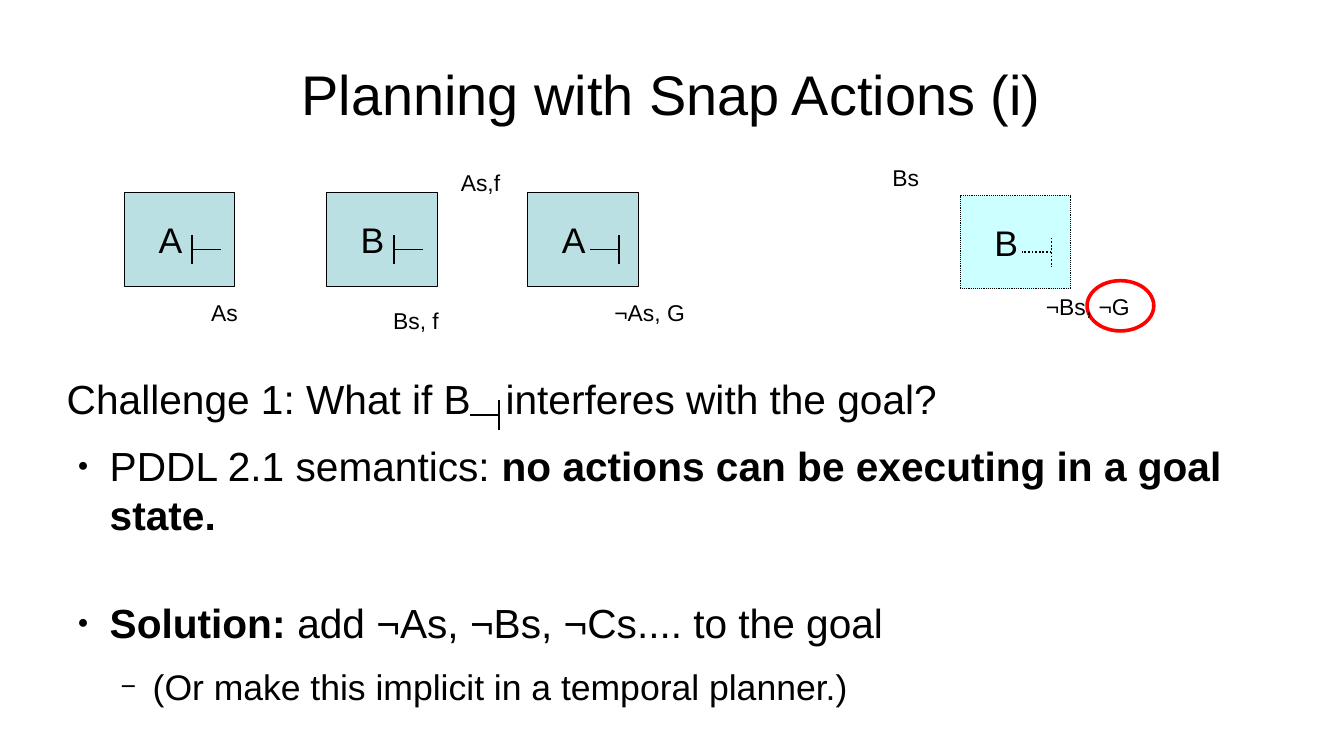
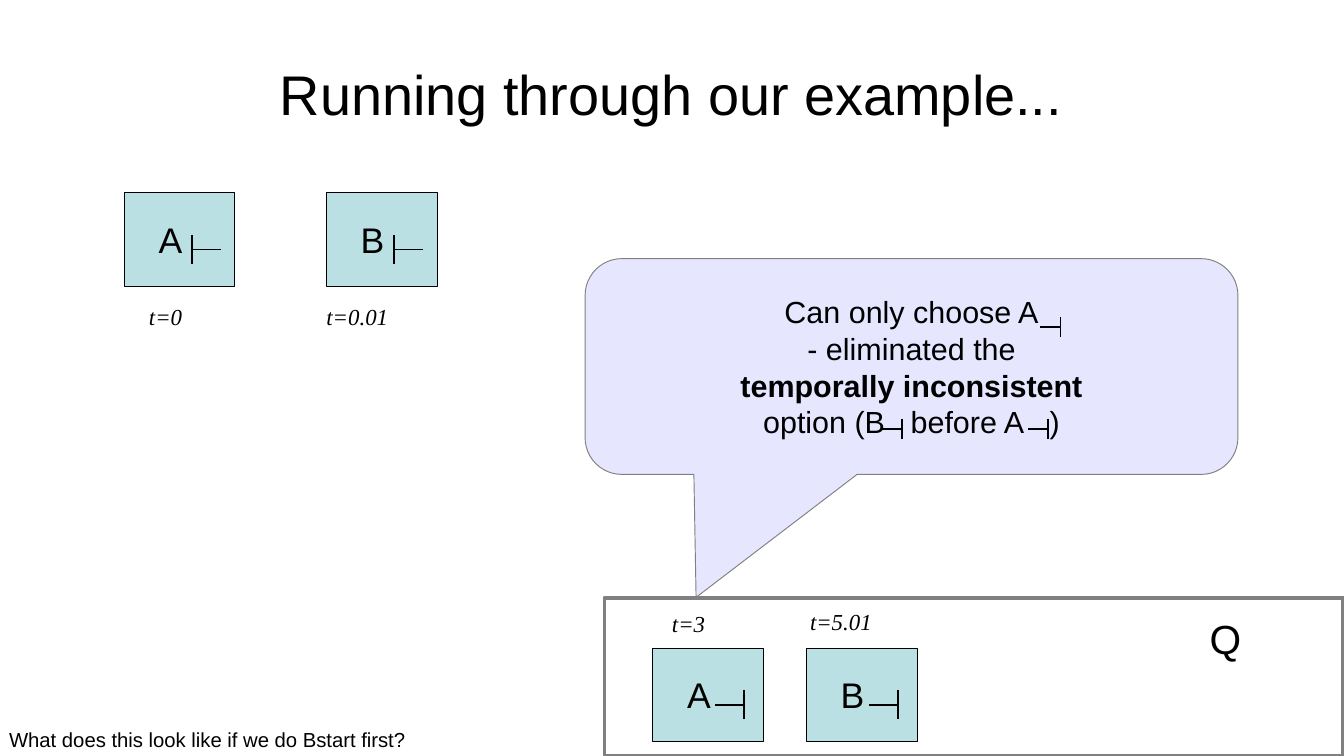
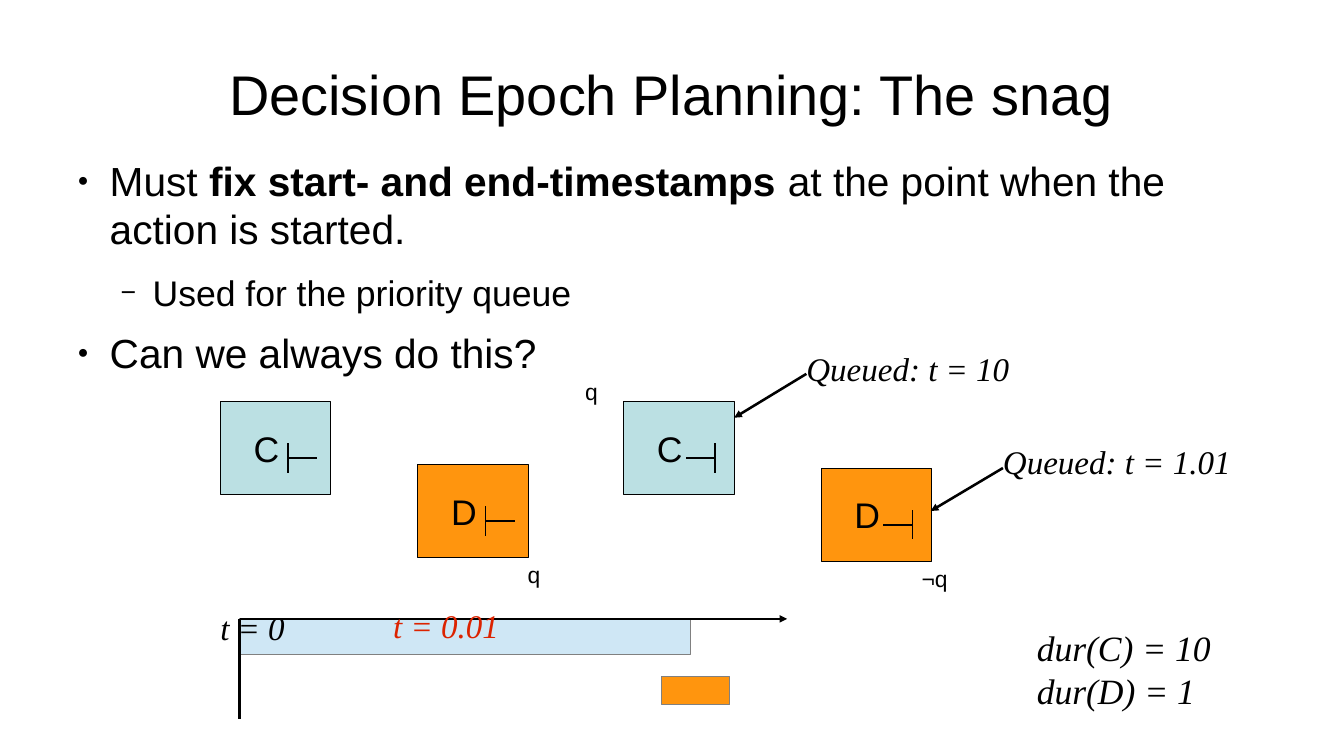
from lxml.etree import SubElement
from pptx import Presentation
from pptx.dml.color import RGBColor
from pptx.enum.dml import MSO_LINE
from pptx.enum.shapes import MSO_CONNECTOR, MSO_SHAPE
from pptx.enum.text import MSO_ANCHOR, MSO_AUTO_SIZE, PP_ALIGN
from pptx.oxml.ns import qn
from pptx.util import Inches, Pt

BLACK = RGBColor(0x00, 0x00, 0x00)
GREY = RGBColor(0x80, 0x80, 0x80)
RED = RGBColor(0xFF, 0x00, 0x00)
BRICK = RGBColor(0xDC, 0x23, 0x00)
TEAL = RGBColor(0xBB, 0xE0, 0xE3)
CYAN = RGBColor(0xCC, 0xFF, 0xFF)
LILAC = RGBColor(0xE6, 0xE6, 0xFF)
SKY = RGBColor(0xCF, 0xE7, 0xF5)
ORANGE = RGBColor(0xFF, 0x95, 0x0E)

PLAIN, BOLD = False, True
GAP = (" ", PLAIN)  # a widened space that leaves room for a snap mark
TIME = {"font": "Times New Roman", "italic": True}
BIG_TIME = {**TIME, "size": 26}


def write(frame, lines, size=18, font="Arial", color=BLACK, italic=False,
          align=PP_ALIGN.LEFT):
    """Fill a text frame; each line is a list of (text, bold) spans."""
    layout = {"margin_left": 0, "margin_right": 0, "margin_top": 0, "margin_bottom": 0,
              "word_wrap": True, "auto_size": MSO_AUTO_SIZE.NONE,
              "vertical_anchor": MSO_ANCHOR.MIDDLE}
    for name, value in layout.items():
        setattr(frame, name, value)
    for number, line in enumerate(lines):
        para = frame.add_paragraph() if number else frame.paragraphs[0]
        para.alignment = align
        for text, bold in line:
            span = para.add_run()
            span.text = text
            look = {"size": Pt(size), "name": font, "bold": bold, "italic": italic}
            for name, value in look.items():
                setattr(span.font, name, value)
            span.font.color.rgb = color
            if (text, bold) == GAP:
                span.font.size = Pt(size)
                span._r.get_or_add_rPr().set("spc", str(round(size * 56)))


def draw_line(page, start, end, width=0, dash=None, arrow=False):
    points = [Inches(value) for value in (*start, *end)]
    line = page.shapes.add_connector(MSO_CONNECTOR.STRAIGHT, *points)
    line.line.color.rgb = BLACK
    line.line.width = Pt(width)
    if dash:
        line.line.dash_style = dash
    if arrow:
        SubElement(line.get_or_add_ln(), qn("a:tailEnd"), type="triangle")
    SubElement(line._element.spPr, qn("a:effectLst"))


deck = Presentation()
deck.slide_width, deck.slide_height = Inches(14.7), Inches(8.27)

# Pages and titles: layout 1 has a title and a body, layout 5 only a title
pages = []
for title, layout_number in [("Planning with Snap Actions (i)", 1),
                             ("Running through our example...", 5),
                             ("Decision Epoch Planning: The snag", 1)]:
    page = deck.slides.add_slide(deck.slide_layouts[layout_number])
    box = page.shapes.title
    box.left, box.top, box.width, box.height = map(Inches, (0.73, 0.33, 13.23, 1.38))
    write(box.text_frame, [[(title, PLAIN)]], size=44, align=PP_ALIGN.CENTER)
    pages.append(page)
snap_page, example_page, snag_page = pages

# Body lists: each line has a level (None is unbulleted), a space before and spans
bodies = [
    (snap_page, 4.09, 4.1, [
        (None, 0, [("Challenge 1: What if B", PLAIN), GAP,
                   ("interferes with the goal?", PLAIN)]),
        (0, 0, [("PDDL 2.1 semantics: ", PLAIN),
                ("no actions can be executing in a goal state.", BOLD)]),
        (0, 33, [("Solution: ", BOLD), ("add ¬As, ¬Bs, ¬Cs.... to the goal", PLAIN)]),
        (1, 0, [("(Or make this implicit in a temporal planner.)", PLAIN)]),
    ]),
    (snag_page, 1.7, 5.62, [
        (0, 0, [("Must ", PLAIN), ("fix start- and end-timestamps", BOLD),
                (" at the point when the action is started.", PLAIN)]),
        (1, 0, [("Used for the priority queue", PLAIN)]),
        (0, 0, [("Can we always do this?", PLAIN)]),
    ]),
]
BULLETS = [("●", "45000"), ("−", "75000")]
for page, top, height, lines in bodies:
    box = page.placeholders[1]
    box.left, box.top, box.width, box.height = map(Inches, (0.73, top, 13.23, height))
    write(box.text_frame, [spans for _, _, spans in lines], size=32)
    box.text_frame.vertical_anchor = MSO_ANCHOR.TOP
    for para, (level, before, _) in zip(box.text_frame.paragraphs, lines):
        para.level = level or 0
        para.space_before = Pt(before)
        para.space_after = Pt(11.3 if level else 14.2)
        props = para._p.get_or_add_pPr()
        if level is None:
            props.set("marL", "0")
            props.set("indent", "0")
            SubElement(props, qn("a:buNone"))
            continue
        if level == 1:
            for span in para.runs:
                span.font.size = Pt(28)
        props.set("marL", str(Inches(0.47 * (level + 1))))
        props.set("indent", str(Inches(-0.35)))
        char, percent = BULLETS[level]
        SubElement(SubElement(props, qn("a:buClr")), qn("a:srgbClr"), val=str(BLACK))
        SubElement(props, qn("a:buSzPct"), val=percent)
        SubElement(props, qn("a:buChar"), char=char)

# Plain shapes: page, kind, place, fill, line colour, line width
plain_shapes = [
    (snap_page, MSO_SHAPE.OVAL, (11.89, 3.07, 0.73, 0.55), None, RED, 2.83),
    (example_page, MSO_SHAPE.RECTANGLE, (6.61, 6.54, 8.08, 1.73), None, GREY, 2.83),
    (example_page, MSO_SHAPE.ROUNDED_RECTANGULAR_CALLOUT, (6.4, 2.83, 7.14, 2.36),
     LILAC, GREY, 0),
    (snag_page, MSO_SHAPE.RECTANGLE, (2.62, 6.77, 4.93, 0.39), SKY, GREY, 0),
    (snag_page, MSO_SHAPE.RECTANGLE, (7.24, 7.4, 0.74, 0.31), ORANGE, GREY, 0),
]
# Snap actions: page, letter, left, top, whether it ends the action, fill, dash
snaps = [
    (snap_page, "A", 1.36, 2.11, False, TEAL, None),
    (snap_page, "B", 3.57, 2.11, False, TEAL, None),
    (snap_page, "A", 5.77, 2.11, True, TEAL, None),
    (snap_page, "B", 10.5, 2.14, True, CYAN, MSO_LINE.ROUND_DOT),
    (example_page, "A", 1.36, 2.11, False, TEAL, None),
    (example_page, "B", 3.57, 2.11, False, TEAL, None),
    (example_page, "A", 7.14, 7.09, True, TEAL, None),
    (example_page, "B", 8.82, 7.09, True, TEAL, None),
    (snag_page, "C", 2.41, 4.39, False, TEAL, None),
    (snag_page, "D", 4.57, 5.08, False, ORANGE, None),
    (snag_page, "C", 6.82, 4.39, True, TEAL, None),
    (snag_page, "D", 8.98, 5.12, True, ORANGE, None),
]
snap_boxes = [(page, MSO_SHAPE.RECTANGLE, (left, top, 1.21, 1.02), fill, BLACK, 0.75)
              for page, _, left, top, _, fill, _ in snaps]
drawn = []
for page, kind, place, fill, line_color, line_width in plain_shapes + snap_boxes:
    shape = page.shapes.add_shape(kind, *map(Inches, place))
    shape.shadow.inherit = False
    if fill is None:
        shape.fill.background()
    else:
        shape.fill.solid()
        shape.fill.fore_color.rgb = fill
    shape.line.color.rgb = line_color
    shape.line.width = Pt(line_width)
    drawn.append(shape)

callout = drawn[2]
for number, value in enumerate((-0.33, 1.07, 0.17)):
    callout.adjustments[number] = value
write(callout.text_frame, [
    [("Can only choose A", PLAIN)],
    [("- eliminated the", PLAIN)],
    [("temporally inconsistent", BOLD)],
    [("option (B", PLAIN), GAP, ("before A", PLAIN), GAP, (")", PLAIN)],
], size=24, align=PP_ALIGN.CENTER)

# Snap marks: page, bar x, middle y, size, arm direction, dash
marks = [
    (snap_page, 5.46, 4.54, 0.32, -1, None),
    (example_page, 11.6, 3.58, 0.22, -1, None),
    (example_page, 9.87, 4.69, 0.22, -1, None),
    (example_page, 11.46, 4.69, 0.22, -1, None),
]
for shape, (page, letter, left, top, is_end, _, dash) in zip(drawn[len(plain_shapes):], snaps):
    write(shape.text_frame, [[(letter, PLAIN)]], size=28, align=PP_ALIGN.CENTER)
    shape.text_frame.margin_right = Inches(0.2)
    if dash:
        shape.line.dash_style = dash
    bar, direction = (left + 1, -1) if is_end else (left + 0.74, 1)
    marks.append((page, bar, top + 0.62, 0.32, direction, dash))
for page, bar, middle, size, direction, dash in marks:
    draw_line(page, (bar, middle - size / 2), (bar, middle + size / 2), 1.42, dash)
    draw_line(page, (bar, middle), (bar + direction * size, middle), 1.42, dash)

# Time axes and pointers on the last page
for start, end, arrow in [((2.62, 6.77), (8.61, 6.77), True),
                          ((2.62, 6.77), (2.62, 7.87), False),
                          ((8.82, 4.09), (8.03, 4.57), True),
                          ((10.97, 5.12), (10.18, 5.59), True)]:
    draw_line(snag_page, start, end, arrow=arrow)

# Labels: page, lines, left, top, width, look
labels = [
    (snap_page, ["As"], 2.31, 3.28, 0.84, {}),
    (snap_page, ["Bs, f"], 4.3, 3.37, 1.15, {}),
    (snap_page, ["As,f"], 5.04, 1.86, 0.84, {}),
    (snap_page, ["¬As, G"], 6.72, 3.28, 1.36, {}),
    (snap_page, ["Bs"], 9.76, 1.8, 0.84, {}),
    (snap_page, ["¬Bs, ¬G"], 11.44, 3.21, 1.57, {}),
    (example_page, ["t=0"], 1.63, 3.32, 0.9, TIME),
    (example_page, ["t=0.01"], 3.57, 3.32, 0.9, TIME),
    (example_page, ["t=3"], 7.35, 6.68, 0.9, TIME),
    (example_page, ["t=5.01"], 8.86, 6.66, 0.9, TIME),
    (example_page, ["Q"], 13.23, 6.74, 1.15, {"size": 32}),
    (example_page, ["What does this look like if we do Bstart first?"], 0.1, 7.97, 5.8,
     {"size": 16}),
    (snag_page, ["q"], 6.4, 4.14, 0.84, {}),
    (snag_page, ["q"], 5.77, 6.15, 0.84, {}),
    (snag_page, ["¬q"], 10.08, 6.19, 0.84, {}),
    (snag_page, ["dur(C) = 10", "dur(D) = 1"], 11.34, 6.89, 3.25, {**TIME, "size": 28}),
    (snag_page, ["t = 0"], 2.41, 6.66, 1.36, BIG_TIME),
    (snag_page, ["t = 0.01"], 4.3, 6.64, 2.41, {**BIG_TIME, "color": BRICK}),
    (snag_page, ["Queued: t = 10"], 8.82, 3.83, 3.57, BIG_TIME),
    (snag_page, ["Queued: t = 1.01"], 10.97, 4.85, 3.73, BIG_TIME),
]
for page, lines, left, top, width, look in labels:
    height = len(lines) * look.get("size", 18) * 1.1 / 72
    box = page.shapes.add_textbox(*map(Inches, (left, top, width, height)))
    write(box.text_frame, [[(text, PLAIN)] for text in lines], **look)

deck.save("out.pptx")
